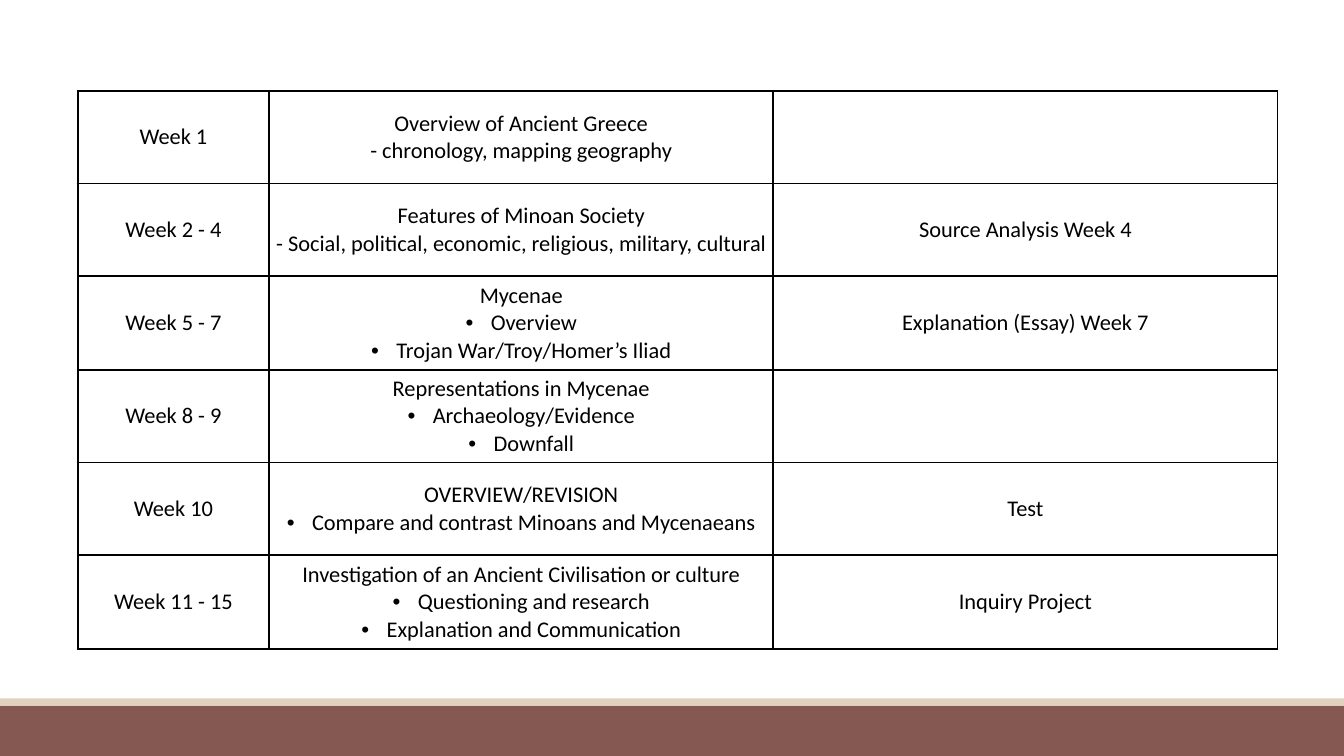
from dataclasses import dataclass

from lxml import etree
from pptx import Presentation
from pptx.dml.color import RGBColor
from pptx.enum.shapes import MSO_SHAPE
from pptx.enum.text import MSO_ANCHOR, PP_ALIGN
from pptx.oxml.ns import qn
from pptx.util import Inches, Pt

RECT = MSO_SHAPE.RECTANGLE
MIDDLE = MSO_ANCHOR.MIDDLE
CENTER = PP_ALIGN.CENTER
BULLET = "• "


@dataclass(frozen=True)
class Theme:
    font: str = "Calibri"
    size: int = 16
    text: str = "000000"
    cell: str = "FFFFFF"
    border: str = "000000"
    border_width: float = 1.5
    band: str = "865852"
    stripe: str = "E1D2BF"
    inset: float = 0.03
    indent: float = 0.25


class SlideBuilder:
    def __init__(self, prs, theme):
        self.theme = theme
        self.s = prs.slides.add_slide(prs.slide_layouts[6])

    def bar(self, top, height, color):
        sp = self.s.shapes.add_shape(RECT, 0, Inches(top), Inches(13.33), Inches(height))
        sp.shadow.inherit = False
        sp.fill.solid()
        sp.fill.fore_color.rgb = RGBColor.from_string(color)
        sp.line.fill.background()

    def table(self, left, top, widths, heights, rows):
        frame = self.s.shapes.add_table(
            len(heights), len(widths), Inches(left), Inches(top),
            Inches(sum(widths)), Inches(sum(heights)))
        tbl = frame.table
        tbl.first_row = tbl.horz_banding = False
        for col, width in zip(tbl.columns, widths):
            col.width = Inches(width)
        for row, height in zip(tbl.rows, heights):
            row.height = Inches(height)
        for i, row in enumerate(rows):
            for j, lines in enumerate(row):
                self.cell(tbl.cell(i, j), lines)

    def cell(self, cell, lines):
        inset = Inches(self.theme.inset)
        cell.margin_left = cell.margin_right = inset
        cell.margin_top = cell.margin_bottom = inset
        cell.vertical_anchor = MIDDLE
        self.borders(cell)
        cell.fill.solid()
        cell.fill.fore_color.rgb = RGBColor.from_string(self.theme.cell)
        tf = cell.text_frame
        for n, line in enumerate(lines):
            p = tf.add_paragraph() if n else tf.paragraphs[0]
            self.line(p, line)

    def borders(self, cell):
        tcPr = cell._tc.get_or_add_tcPr()
        for side in ("a:lnL", "a:lnR", "a:lnT", "a:lnB"):
            ln = etree.SubElement(tcPr, qn(side), w=str(Pt(self.theme.border_width)))
            fill = etree.SubElement(ln, qn("a:solidFill"))
            etree.SubElement(fill, qn("a:srgbClr"), val=self.theme.border)

    def line(self, p, text):
        p.alignment = CENTER
        if text.startswith(BULLET):
            pPr = p._p.get_or_add_pPr()
            indent = Inches(self.theme.indent)
            pPr.set("marL", str(indent))
            pPr.set("indent", str(-indent))
            etree.SubElement(pPr, qn("a:buFont"), typeface="Arial")
            etree.SubElement(pPr, qn("a:buChar"), char=BULLET.strip())
        r = p.add_run()
        r.text = text.removeprefix(BULLET)
        r.font.name = self.theme.font
        r.font.size = Pt(self.theme.size)
        r.font.color.rgb = RGBColor.from_string(self.theme.text)


SCHEDULE = [
    (["Week 1"],
     ["Overview of Ancient Greece", "- chronology, mapping geography"],
     []),
    (["Week 2 - 4"],
     ["Features of Minoan Society",
      "- Social, political, economic, religious, military, cultural"],
     ["Source Analysis Week 4"]),
    (["Week 5 - 7"],
     ["Mycenae", "• Overview", "• Trojan War/Troy/Homer’s Iliad"],
     ["Explanation (Essay) Week 7"]),
    (["Week 8 - 9"],
     ["Representations in Mycenae", "• Archaeology/Evidence", "• Downfall"],
     []),
    (["Week 10"],
     ["OVERVIEW/REVISION", "• Compare and contrast Minoans and Mycenaeans"],
     ["Test"]),
    (["Week 11 - 15"],
     ["Investigation of an Ancient Civilisation or culture",
      "• Questioning and research", "• Explanation and Communication"],
     ["Inquiry Project"]),
]


def main():
    prs = Presentation()
    prs.slide_width, prs.slide_height = Inches(13.33), Inches(7.5)
    theme = Theme()
    slide = SlideBuilder(prs, theme)
    slide.bar(7, 0.5, theme.band)
    slide.bar(6.93, 0.07, theme.stripe)
    slide.table(0.77, 0.9, [1.9, 5, 5], [0.92, 0.92, 0.93] * 2, SCHEDULE)
    prs.save("out.pptx")


if __name__ == "__main__":
    main()
